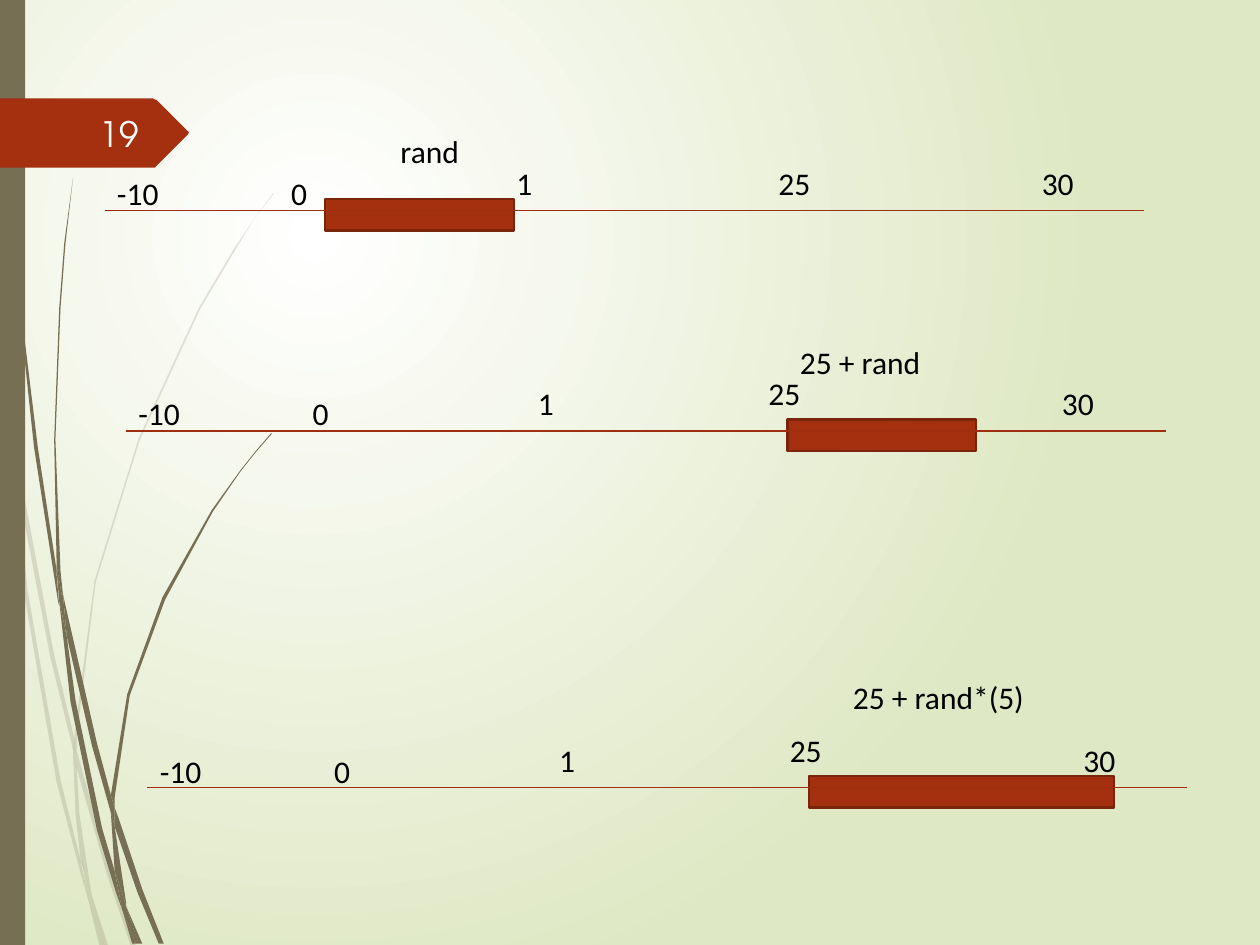
from dataclasses import dataclass

from lxml import etree
from pptx import Presentation
from pptx.dml.color import RGBColor
from pptx.enum.shapes import MSO_CONNECTOR, MSO_SHAPE
from pptx.enum.text import MSO_ANCHOR, MSO_AUTO_SIZE, PP_ALIGN
from pptx.oxml.ns import qn
from pptx.util import Emu, Pt

STRAIGHT, RECTANGLE = MSO_CONNECTOR.STRAIGHT, MSO_SHAPE.RECTANGLE
LEFT, RIGHT = PP_ALIGN.LEFT, PP_ALIGN.RIGHT
TOP, MIDDLE = MSO_ANCHOR.TOP, MSO_ANCHOR.MIDDLE
FIT_SHAPE, NO_FIT = MSO_AUTO_SIZE.SHAPE_TO_FIT_TEXT, MSO_AUTO_SIZE.NONE
PX = 9144  # 100 px to the inch


@dataclass(frozen=True)
class Theme:
    glow: str = "FFFFFF"
    backdrop: str = "DFE8C4"
    stem: str = "766F54"
    accent: str = "A53010"
    bar_edge: str = "7A240C"
    axis: str = "9E2E0F"
    ink: str = "000000"
    number_ink: str = "FEFFFF"
    body_font: str = "Calibri"
    number_font: str = "TeX Gyre Adventor"
    body_size: int = 18
    number_size: int = 20
    faint_alpha: int = 20


THEME = Theme()

# Number lines: axis start, bar (offset, width), then (text, dx, dy, width, wraps)
NUMBER_LINES = [
    {"start": (83, 167), "bar": (175, 150), "labels": [
        ("0", 142, -34, 16, True), ("1", 317, -42, 33, False),
        ("-10", 0, -34, 67, True), ("25", 525, -42, 67, True),
        ("30", 734, -42, 67, True), ("rand", 225, -67, 67, False)]},
    {"start": (100, 342), "bar": (525, 150), "labels": [
        ("0", 142, -34, 16, True), ("1", 317, -42, 33, False),
        ("-10", 0, -34, 67, True), ("25", 500, -50, 67, True),
        ("30", 733, -42, 67, True), ("25 + rand", 525, -75, 175, True)]},
    {"start": (117, 625), "bar": (525, 242), "labels": [
        ("0", 142, -33, 16, True), ("1", 317, -42, 33, False),
        ("-10", 0, -33, 67, True), ("25", 500, -50, 67, True),
        ("30", 733, -42, 67, True), ("25 + rand*(5)", 550, -92, 175, True)]},
]
AXIS_LENGTH, BAR_HEIGHT, BAR_RISE, LABEL_HEIGHT = 825, 25, 9, 40

# Grass outlines, each a closed run of points
FAINT_STEMS = [
    [(8, 350), (6, 322), (0, 282), (0, 299), (7, 344)],
    [(40, 522), (59, 599), (59, 586), (43, 520), (10, 345), (12, 376)],
    [(64, 607), (61, 596), (61, 610), (85, 694), (104, 751), (108, 751), (88, 692)],
    [(83, 751), (86, 751), (73, 711)],
    [(64, 683), (48, 619), (22, 469), (12, 376), (8, 350), (19, 470), (45, 621),
     (64, 693), (70, 714), (69, 707)],
    [(58, 599), (60, 646), (64, 683), (67, 692), (73, 711), (72, 706), (63, 646),
     (61, 610), (61, 608)],
    [(61, 584), (76, 462), (111, 349), (159, 245), (187, 198), (201, 175), (217, 154),
     (217, 153), (201, 175), (186, 197), (158, 244), (110, 348), (75, 461), (59, 584),
     (59, 586), (61, 596)],
    [(70, 714), (79, 751), (82, 751)],
    [(61, 608), (61, 610), (61, 596), (59, 586), (58, 599)],
    [(67, 692), (65, 683), (69, 707), (70, 714), (82, 751), (83, 751), (73, 711)],
]
DARK_STEMS = [
    [(5, 110), (14, 233), (27, 355), (46, 477), (47, 481), (45, 457), (45, 453),
     (30, 355), (15, 232), (6, 109), (4, 48), (3, 0), (2, 0), (3, 48)],
    [(73, 592), (88, 645), (88, 633), (88, 631), (77, 590), (50, 472), (53, 505)],
    [(94, 649), (91, 641), (91, 656), (109, 708), (126, 749), (130, 749), (113, 706)],
    [(91, 691), (81, 657), (60, 556), (53, 505), (47, 477), (56, 557), (77, 659),
     (92, 708), (97, 722), (96, 717)],
    [(50, 472), (48, 453), (44, 349), (48, 245), (52, 193), (58, 141), (51, 193),
     (47, 245), (43, 349), (45, 449), (49, 472)],
    [(110, 749), (113, 749), (100, 719)],
    [(47, 477), (53, 505), (50, 472), (49, 472), (45, 449), (45, 453)],
    [(91, 633), (103, 552), (131, 476), (169, 406), (191, 374), (203, 359), (216, 344),
     (215, 344), (203, 358), (191, 373), (168, 405), (129, 474), (101, 551), (88, 631),
     (91, 641)],
    [(97, 722), (105, 749), (108, 749)],
    [(88, 645), (91, 691), (96, 706), (100, 719), (100, 716), (91, 656), (90, 651)],
    [(88, 645), (90, 651), (91, 656), (91, 641), (88, 631), (88, 633)],
    [(96, 706), (91, 691), (96, 717), (97, 722), (108, 749), (110, 749), (100, 719)],
]
PAGE_TAG = [(149, 107), (124, 132), (123, 133), (121, 133), (0, 133), (0, 78),
            (121, 78), (123, 79), (124, 79), (149, 104), (150, 105)]


def px(*lengths):
    return [Emu(length * PX) for length in lengths]


def paint(shape, color, edge=None, alpha=None):
    shape.shadow.inherit = False
    shape.fill.solid()
    shape.fill.fore_color.rgb = RGBColor.from_string(color)
    if alpha is not None:
        tint = shape.fill._xPr.find(qn("a:solidFill"))[0]
        etree.SubElement(tint, qn("a:alpha")).set("val", str(alpha * 1000))
    if edge:
        shape.line.color.rgb = RGBColor.from_string(edge)
        shape.line.width = Pt(1.25)
    else:
        shape.line.fill.background()


def add_outline(slide, points, color, alpha=None):
    builder = slide.shapes.build_freeform(*points[0], scale=PX)
    builder.add_line_segments(points[1:], close=True)
    paint(builder.convert_to_shape(), color, alpha=alpha)


def add_bar(slide, box, color, edge=None):
    paint(slide.shapes.add_shape(RECTANGLE, *px(*box)), color, edge)


def add_axis(slide, x, y):
    axis = slide.shapes.add_connector(STRAIGHT, *px(x, y, x + AXIS_LENGTH, y))
    axis.line.color.rgb = RGBColor.from_string(THEME.axis)
    axis.line.width = Pt(0.75)
    etree.SubElement(axis._element.spPr, qn("a:effectLst"))


def add_text(slide, text, box, font=THEME.body_font, size=THEME.body_size,
             color=THEME.ink, align=LEFT, anchor=TOP, wrap=True, fit=FIT_SHAPE):
    frame = slide.shapes.add_textbox(*px(*box)).text_frame
    frame.word_wrap, frame.auto_size, frame.vertical_anchor = wrap, fit, anchor
    paragraph = frame.paragraphs[0]
    paragraph.alignment = align
    run = paragraph.add_run()
    run.text = text
    run.font.name, run.font.size = font, Pt(size)
    run.font.color.rgb = RGBColor.from_string(color)


def set_backdrop(slide):
    fill = slide.background.fill
    fill.gradient()
    for stop, color in zip(fill.gradient_stops, (THEME.glow, THEME.backdrop)):
        stop.color.rgb = RGBColor.from_string(color)
    # Radial glow centred a quarter of the way in from the top left
    linear = next(slide.element.iter(qn("a:lin")))
    radial = etree.Element(qn("a:path"), {"path": "circle"})
    etree.SubElement(radial, qn("a:fillToRect"),
                     {"l": "50000", "t": "50000", "r": "100000", "b": "100000"})
    linear.getparent().replace(linear, radial)


def main():
    deck = Presentation()
    deck.slide_width, deck.slide_height = px(1000, 750)
    slide = deck.slides.add_slide(deck.slide_layouts[6])
    set_backdrop(slide)

    # Grass, side band and page tag
    for stem in FAINT_STEMS:
        add_outline(slide, stem, THEME.stem, THEME.faint_alpha)
    for stem in DARK_STEMS:
        add_outline(slide, stem, THEME.stem)
    add_bar(slide, (0, 0, 20, 750), THEME.stem)
    add_outline(slide, PAGE_TAG, THEME.accent)

    # Number lines with their ranges
    for number_line in NUMBER_LINES:
        x, y = number_line["start"]
        bar_dx, bar_width = number_line["bar"]
        add_bar(slide, (x + bar_dx, y - BAR_RISE, bar_width, BAR_HEIGHT),
                THEME.accent, THEME.bar_edge)
        add_axis(slide, x, y)
        for text, dx, dy, width, wraps in number_line["labels"]:
            add_text(slide, text, (x + dx, y + dy, width, LABEL_HEIGHT), wrap=wraps)

    # Slide number
    add_text(slide, "19", (56, 86, 64, 40), font=THEME.number_font,
             size=THEME.number_size, color=THEME.number_ink, align=RIGHT,
             anchor=MIDDLE, fit=NO_FIT)
    deck.save("out.pptx")


if __name__ == "__main__":
    main()
